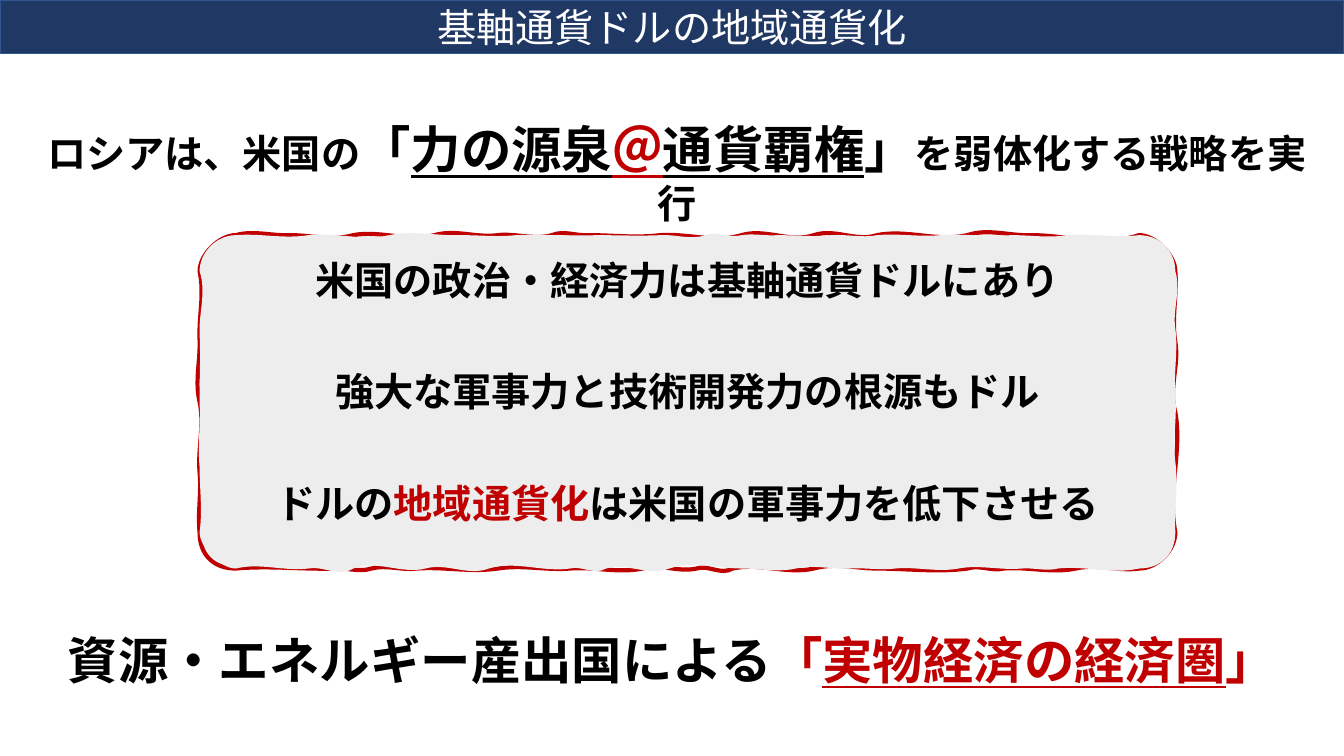
import lxml.etree
import pptx
import pptx.dml.color
import pptx.enum.text
import pptx.oxml.ns
import pptx.util

INK, RED, NAVY, GREY = "000000", "C00000", "203864", "EDEDED"
FACE = "Noto Sans CJK JP"

# Waves per side, clockwise from the top: (end of the wave in % of the side,
# then the pull of its two handles in hundredths of an inch).
RIM = [
    [(6, -5, 1), (13, 0, 6), (22, -5, 7), (29, -6, 3), (35, -2, 5),
     (39, -5, 1), (47, 0, 3), (56, -2, 8), (64, -7, 8), (71, -7, 7),
     (81, -6, 7), (88, -7, 1), (100, 0, 12)],
    [(27, 2, -4), (54, 4, -7), (100, 7, -8)],
    [(7, 3, -5), (15, 5, -2), (19, 3, -4), (29, 4, 0), (36, 0, -6),
     (45, 6, -6), (49, 7, -4), (55, 4, -5), (63, 5, -2), (71, 2, -4),
     (80, 4, -2), (85, 2, -4), (89, 4, -1), (100, 1, -3)],
    [(23, -2, 2), (50, -2, 5), (74, -5, 1), (100, -1, 5)],
]
CORE = [
    [(8, -2, 4), (17, -3, 6), (25, -5, 1), (31, 0, 2), (40, -1, 1),
     (47, 0, 1), (52, -1, 5), (56, -4, 3), (60, -2, 1), (66, 0, 2),
     (71, -1, 3), (78, -2, 2), (86, -1, 1), (92, 0, 3), (100, -2, 3)],
    [(22, 6, -3), (48, 3, -2), (73, 2, -3), (100, 3, -1)],
    [(9, 6, -3), (13, 3, -1), (20, 2, -4), (27, 4, -2), (32, 2, -1),
     (38, 1, -4), (44, 4, 0), (52, 0, -8), (59, 8, -6), (63, 7, -3),
     (72, 4, -8), (79, 8, -6), (87, 6, -9), (92, 9, -3), (100, 3, -6)],
    [(25, 3, 0), (50, -2, 1), (76, 0, 1), (100, -1, 7)],
]
# How far the handles of each corner reach, from the top right one on
BENDS = {"rim": (0.45, 0.5, 0.62, 0.46), "core": (0.57, 0.6, 0.42, 0.53)}


def tint(code):
    return pptx.dml.color.RGBColor.from_string(code)


def blend(a, b, t):
    return tuple(p + (q - p) * t for p, q in zip(a, b))


def trace(waves, bends, w, h):
    """Start point and cubic curves of a round box with wavy sides."""
    ends = [(0, 0), (w, 0), (w, h), (0, h)]
    arc, unit = pptx.util.Inches(0.36), pptx.util.Inches(0.01)
    curves = []
    for n, (side, bend) in enumerate(zip(waves, bends)):
        tip, goal, turn = (ends[(n + k) % 4] for k in range(3))
        span, next_span = (w, h) if n % 2 == 0 else (h, w)
        first = here = blend(tip, goal, arc / span)
        last = blend(goal, tip, arc / span)
        for stop, *pulls in side:
            there = blend(first, last, stop / 100)
            grips = [list(blend(here, there, t)) for t in (1 / 3, 2 / 3)]
            for grip, pull in zip(grips, pulls):
                grip[(n + 1) % 2] += pull * unit
            curves.append((*grips, there))
            here = there
        # Round corner to the next side
        out = blend(goal, turn, arc / next_span)
        curves.append((blend(last, goal, bend), blend(out, goal, bend), out))
    return (arc, 0), curves


def write(para, text, size=28, color=INK, bold=True, line=False, face=FACE):
    """Add one run of text with its format."""
    run = para.add_run()
    run.text = text
    font = run.font
    font.size, font.bold, font.name = pptx.util.Pt(size), bold, face
    font.underline = True if line else None
    font.color.rgb = tint(color)
    east = run._r.get_or_add_rPr().makeelement(
        pptx.oxml.ns.qn("a:ea"), {"typeface": FACE})
    font._element.find(pptx.oxml.ns.qn("a:latin")).addnext(east)


class Deck:
    """Holds the slide; places are shares of its size in percent."""

    def __init__(self, wide=13.33, high=7.5):
        self.file = pptx.Presentation()
        self.wide, self.high = wide, high
        self.file.slide_width = pptx.util.Inches(wide)
        self.file.slide_height = pptx.util.Inches(high)
        self.slide = self.file.slides.add_slide(self.file.slide_layouts[5])

    def place(self, x, y, w, h):
        return [pptx.util.Inches(share * side / 100) for share, side in
                zip((x, y, w, h), (self.wide, self.high) * 2)]

    def paint(self, item, fill, edge, width):
        item.fill.solid()
        item.fill.fore_color.rgb = tint(fill)
        item.line.color.rgb = tint(edge)
        item.line.width = pptx.util.Pt(width)

    def frame(self, item):
        text = item.text_frame
        text.word_wrap = True
        text.paragraphs[0].alignment = pptx.enum.text.PP_ALIGN.CENTER
        return text

    def title(self, text, *spot):
        item = self.slide.shapes.title
        item.left, item.top, item.width, item.height = self.place(*spot)
        self.paint(item, NAVY, "325491", 1)
        body = self.frame(item)
        body.auto_size = pptx.enum.text.MSO_AUTO_SIZE.NONE
        body.vertical_anchor = pptx.enum.text.MSO_ANCHOR.MIDDLE
        write(body.paragraphs[0], text, color="FFFFFF", bold=False,
              face="Roboto")

    def label(self, runs, *spot):
        body = self.frame(self.slide.shapes.add_textbox(*self.place(*spot)))
        body.auto_size = pptx.enum.text.MSO_AUTO_SIZE.SHAPE_TO_FIT_TEXT
        for text, style in runs:
            write(body.paragraphs[0], text, **style)

    def panel(self, *spot):
        """One outline with a wavy line path and a wavy fill path."""
        x, y, w, h = self.place(*spot)
        form = self.slide.shapes.build_freeform(x, y)
        form.add_line_segments([(x + w, y), (x + w, y + h), (x, y + h)])
        item = form.convert_to_shape()
        item.shadow.inherit = False
        self.paint(item, GREY, RED, 3)

        # Swap the plain box for curved paths
        qn = pptx.oxml.ns.qn
        paths = item._element.spPr.find(".//" + qn("a:pathLst"))
        paths.remove(paths[0])

        def add(path, tag, dots):
            step = lxml.etree.SubElement(path, qn(tag))
            for left, top in dots:
                lxml.etree.SubElement(step, qn("a:pt"), x=str(round(left)),
                                      y=str(round(top)))

        for waves, part, only in ((RIM, "rim", {"fill": "none"}),
                                  (CORE, "core", {"stroke": "0"})):
            path = lxml.etree.SubElement(paths, qn("a:path"), w=str(w),
                                         h=str(h), **only)
            start, curves = trace(waves, BENDS[part], w, h)
            add(path, "a:moveTo", [start])
            for dots in curves:
                add(path, "a:cubicBezTo", dots)
            add(path, "a:close", [])


def main():
    deck = Deck()

    # Grey panel with its red rim
    deck.panel(14.85, 31.1, 72.6, 44.1)

    deck.title("基軸通貨ドルの地域通貨化", 0, 0, 100, 7.1)

    # Lead line
    big = {"size": 36}
    key = {"size": 36, "line": True}
    deck.label([("ロシアは、米国の", {}), ("「", big), ("力の源泉", key),
                ("＠", {**key, "color": RED}), ("通貨覇権", key), ("」", big),
                ("を弱体化する戦略を実行", {})], 2.73, 15, 95.25, 9.45)

    # Points in the panel
    points = [
        [("米国の政治・経済力は基軸通貨ドルにあり", {})],
        [("強大な軍事力と技術開発力の根源もドル", {})],
        [("ドルの", {}), ("地域通貨化", {"color": RED}),
         ("は米国の軍事力を低下させる", {})],
    ]
    for n, runs in enumerate(points):
        deck.label(runs, 14.85, 33.2 + 14.77 * n, 72.6, 7.6)

    # Closing line
    hot = {**big, "color": RED}
    deck.label([("資源・エネルギー産出国による", big), ("「", hot),
                ("実物経済の経済圏", {**hot, "line": True}), ("」", hot)],
               3.5, 82.53, 93, 9.45)

    deck.file.save("out.pptx")


if __name__ == "__main__":
    main()
